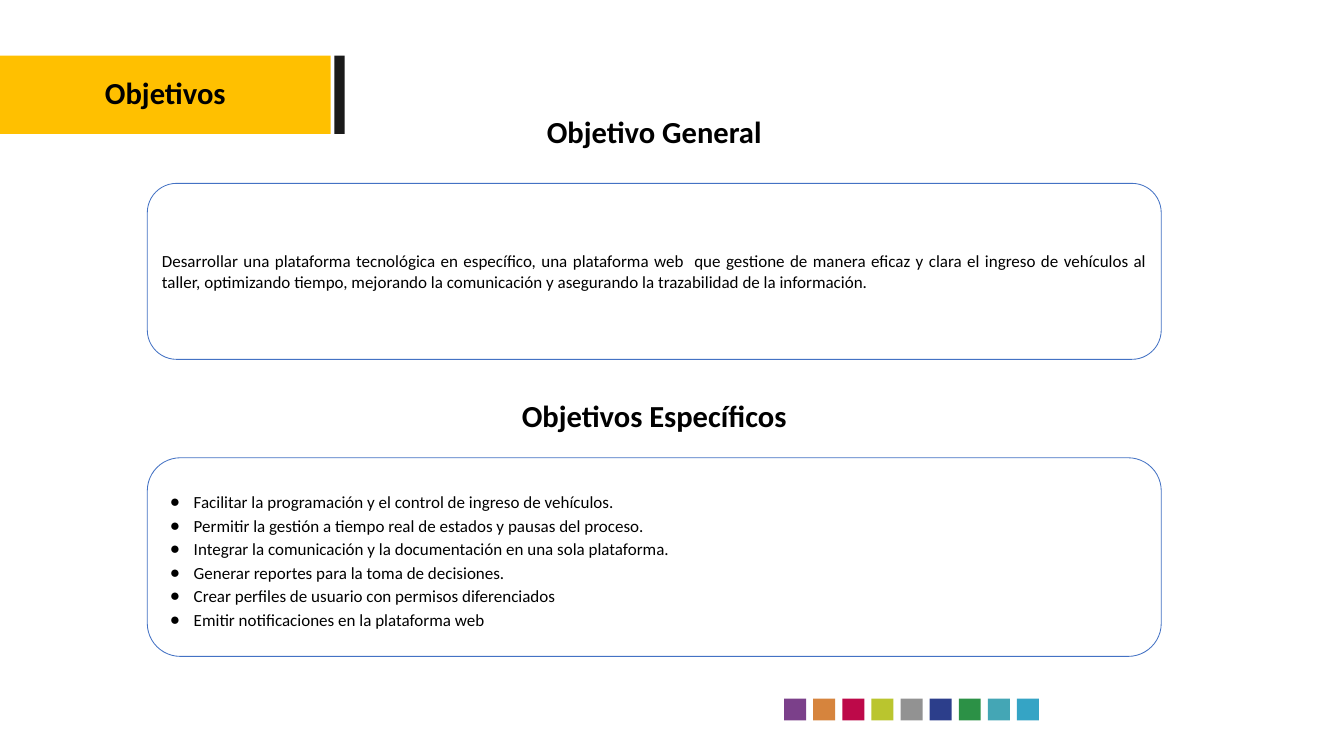
from lxml import etree
from pptx import Presentation
from pptx.dml.color import RGBColor
from pptx.enum.shapes import MSO_SHAPE
from pptx.enum.text import MSO_ANCHOR, MSO_AUTO_SIZE, PP_ALIGN
from pptx.oxml.ns import qn
from pptx.util import Inches, Pt

RECTANGLE = MSO_SHAPE.RECTANGLE
ROUNDED = MSO_SHAPE.ROUNDED_RECTANGLE
MIDDLE = MSO_ANCHOR.MIDDLE
NO_AUTOFIT = MSO_AUTO_SIZE.NONE
CENTER = PP_ALIGN.CENTER
JUSTIFY = PP_ALIGN.JUSTIFY

COLORS = {
    "text": "000000",
    "panel": "FFFFFF",
    "outline": "4472C4",
    "banner": "FFC000",
    "bar": "1A1A1A",
}
SQUARE_COLORS = ["7B408A", "D6843D", "BD0949", "BAC52E", "929292",
                 "2C3E8B", "2C9146", "44A6B5", "35A4C5"]

GENERAL_OBJECTIVE = (
    "Desarrollar una plataforma tecnológica en específico, una plataforma web  que "
    "gestione de manera eficaz y clara el ingreso de vehículos al taller, optimizando "
    "tiempo, mejorando la comunicación y asegurando la trazabilidad de la información."
)
SPECIFIC_OBJECTIVES = [
    "Facilitar la programación y el control de ingreso de vehículos.",
    "Permitir la gestión a tiempo real de estados y pausas del proceso.",
    "Integrar la comunicación y la documentación en una sola plataforma.",
    "Generar reportes para la toma de decisiones.",
    "Crear perfiles de usuario con permisos diferenciados",
    "Emitir notificaciones en la plataforma web",
]


class SlideBuilder:
    font_name = "Calibri"
    heading_size = 36
    body_size = 20

    def __init__(self, slide):
        self.slide = slide

    def style(self, paragraph, size, alignment, bold=False):
        paragraph.alignment = alignment
        font = paragraph.font
        font.name = self.font_name
        font.size = Pt(size)
        font.bold = bold
        font.color.rgb = RGBColor.from_string(COLORS["text"])

    def block(self, left, top, width, height, color, kind=RECTANGLE):
        shape = self.slide.shapes.add_shape(
            kind, Inches(left), Inches(top), Inches(width), Inches(height))
        shape.shadow.inherit = False
        shape.fill.solid()
        shape.fill.fore_color.rgb = RGBColor.from_string(color)
        shape.line.fill.background()
        return shape

    def panel(self, top, height):
        shape = self.block(2.41, top, 16.59, height, COLORS["panel"], ROUNDED)
        shape.line.color.rgb = RGBColor.from_string(COLORS["outline"])
        shape.line.width = Pt(1)
        return shape

    def panel_text(self, shape, text):
        frame = shape.text_frame
        frame.text = text
        frame.word_wrap = True
        frame.vertical_anchor = MIDDLE
        self.style(frame.paragraphs[0], self.body_size, JUSTIFY)

    def heading(self, text, top):
        box = self.slide.shapes.add_textbox(
            Inches(1.48), Inches(top), Inches(18.45), Inches(0.71))
        frame = box.text_frame
        frame.word_wrap = True
        frame.text = text
        self.style(frame.paragraphs[0], self.heading_size, CENTER, bold=True)

    def place(self, placeholder, left, top, width, height):
        placeholder.left, placeholder.top = Inches(left), Inches(top)
        placeholder.width, placeholder.height = Inches(width), Inches(height)
        placeholder.element.getparent().append(placeholder.element)
        frame = placeholder.text_frame
        frame.word_wrap = True
        frame.auto_size = NO_AUTOFIT
        frame.vertical_anchor = MIDDLE
        return frame

    def title(self, text):
        frame = self.place(self.slide.shapes.title, 0, 1.2, 5.41, 0.61)
        frame.margin_left = frame.margin_right = 0
        frame.margin_top = frame.margin_bottom = 0
        frame.text = text
        self.style(frame.paragraphs[0], self.heading_size, CENTER, bold=True)

    def bullet_list(self, items):
        frame = self.place(self.slide.placeholders[1], 2.57, 7.65, 16.27, 3)
        frame.text = "\n".join(items)
        for paragraph in frame.paragraphs:
            self.style(paragraph, self.body_size, JUSTIFY)
            paragraph.line_spacing = 1.15
            paragraph.space_before = Pt(0)
            properties = paragraph._p.get_or_add_pPr()
            properties.set("marL", str(Inches(0.5)))
            properties.set("indent", str(Inches(-0.39)))
            bullet_color = etree.SubElement(properties, qn("a:buClr"))
            etree.SubElement(bullet_color, qn("a:srgbClr"), val=COLORS["text"])
            etree.SubElement(properties, qn("a:buChar"), char="●")

    def color_squares(self):
        first, last = 12.83, 16.64
        pitch = (last - first) / (len(SQUARE_COLORS) - 1)
        for index, color in enumerate(SQUARE_COLORS):
            self.block(first + index * pitch, 11.43, 0.36, 0.36, color)


def main():
    presentation = Presentation()
    presentation.slide_width = Inches(21.99)
    presentation.slide_height = Inches(12.37)
    slide = presentation.slides.add_slide(presentation.slide_layouts[1])
    builder = SlideBuilder(slide)

    builder.block(0, 0.91, 5.41, 1.28, COLORS["banner"])
    builder.block(5.47, 0.91, 0.17, 1.28, COLORS["bar"])
    builder.color_squares()
    builder.heading("Objetivo General", 1.8)
    builder.heading("Objetivos Específicos", 6.45)
    builder.panel_text(builder.panel(3, 2.88), GENERAL_OBJECTIVE)
    builder.panel(7.49, 3.25)
    builder.bullet_list(SPECIFIC_OBJECTIVES)
    builder.title("Objetivos")
    presentation.save("out.pptx")


if __name__ == "__main__":
    main()
